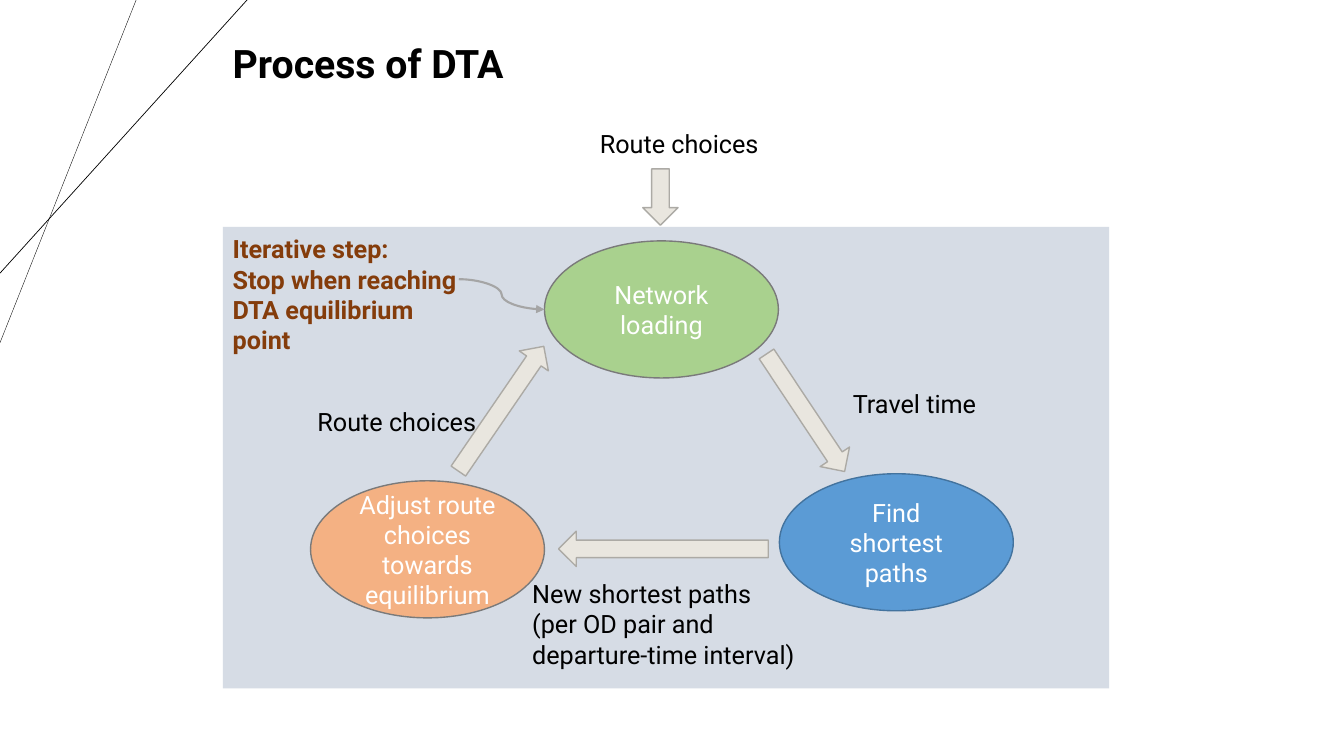
from dataclasses import dataclass

from lxml.etree import SubElement
from pptx import Presentation
from pptx.dml.color import RGBColor
from pptx.enum.shapes import MSO_CONNECTOR as Connector, MSO_SHAPE as Preset
from pptx.enum.text import MSO_ANCHOR as Anchor, PP_ALIGN as Align
from pptx.oxml.ns import qn
from pptx.shapes.autoshape import Shape
from pptx.shapes.connector import Connector as ConnectorShape
from pptx.slide import Slide
from pptx.text.text import TextFrame
from pptx.util import Inches, Pt

FONT = "Roboto"
COLORS = {
    "black": "000000",
    "white": "FFFFFF",
    "panel": "D6DCE5",
    "green": "A9D18E",
    "blue": "5B9BD5",
    "orange": "F4B183",
    "gray_edge": "7A7A7A",
    "blue_edge": "43739E",
    "arrow": "E9E6DF",
    "arrow_edge": "ACAAA5",
    "brown": "843C0B",
    "pointer": "A5A5A5",
}
STEP_WIDTH, STEP_HEIGHT = 2.32, 1.36
ARROW_HEIGHT = 0.35


@dataclass(frozen=True)
class Step:
    text: str
    left: float
    top: float
    fill: str
    edge: str


@dataclass(frozen=True)
class BlockArrow:
    left: float
    top: float
    width: float
    rotation: float


@dataclass(frozen=True)
class Label:
    text: str
    left: float
    top: float
    width: float
    height: float = 0.4
    size: int = 18
    color: str = "black"
    bold: bool = False


@dataclass(frozen=True)
class Line:
    kind: Connector
    start: tuple[float, float]
    end: tuple[float, float]
    color: str
    weight: float


STEPS = [
    Step("Network loading", 5.4, 2.39, "green", "gray_edge"),
    Step("Find shortest paths", 7.73, 4.7, "blue", "blue_edge"),
    Step("Adjust route choices towards equilibrium", 3.08, 4.77, "orange", "gray_edge"),
]
BLOCK_ARROWS = [
    BlockArrow(6.27, 1.78, 0.56, 90),
    BlockArrow(7.29, 3.92, 1.4, 56.4),
    BlockArrow(5.54, 5.27, 2.08, 180),
    BlockArrow(4.22, 3.88, 1.5, 304.4),
]
LABELS = [
    Label("Process of DTA", 2.21, 0.34, 10.49, 0.57, size=28, bold=True),
    Label("Route choices", 5.85, 1.22, 1.98),
    Label("Travel time", 8.36, 3.8, 1.78),
    Label("New shortest paths (per OD pair and departure-time interval)",
          5.18, 5.69, 2.86, 1.01),
    Label("Route choices", 3.05, 3.98, 1.94),
    Label("Iterative step:\nStop when reaching DTA equilibrium point",
          2.21, 2.27, 2.58, 1.01, color="brown", bold=True),
]
BACKDROP_LINES = [
    Line(Connector.STRAIGHT, (1.35, 0), (0, 3.4), "black", 0.25),
    Line(Connector.STRAIGHT, (2.45, 0), (0, 2.71), "black", 0.5),
]
STOP_POINTER = Line(Connector.CURVE, (4.55, 2.77), (5.4, 3.07), "pointer", 1.5)


def color_of(name: str) -> RGBColor:
    return RGBColor.from_string(COLORS[name])


def write(frame: TextFrame, text: str, size: int, color: str,
          bold: bool = False, align: Align = Align.LEFT) -> None:
    frame.word_wrap = True
    frame.text = text
    for paragraph in frame.paragraphs:
        paragraph.alignment = align
        paragraph.font.name = FONT
        paragraph.font.size = Pt(size)
        paragraph.font.bold = bold
        paragraph.font.color.rgb = color_of(color)


def add_filled(slide: Slide, preset: Preset, left: float, top: float, width: float,
               height: float, fill: str, edge: str | None = None) -> Shape:
    """Add a preset shape without shadow; no edge colour means no outline."""
    shape = slide.shapes.add_shape(
        preset, Inches(left), Inches(top), Inches(width), Inches(height))
    shape.shadow.inherit = False
    shape.fill.solid()
    shape.fill.fore_color.rgb = color_of(fill)
    if edge:
        shape.line.color.rgb = color_of(edge)
        shape.line.width = Pt(1)
    else:
        shape.line.fill.background()
    return shape


def add_step(slide: Slide, step: Step) -> None:
    ellipse = add_filled(slide, Preset.OVAL, step.left, step.top,
                         STEP_WIDTH, STEP_HEIGHT, step.fill, step.edge)
    ellipse.text_frame.vertical_anchor = Anchor.MIDDLE
    write(ellipse.text_frame, step.text, 18, "white", align=Align.CENTER)


def add_block_arrow(slide: Slide, arrow: BlockArrow) -> None:
    shape = add_filled(slide, Preset.RIGHT_ARROW, arrow.left, arrow.top,
                       arrow.width, ARROW_HEIGHT, "arrow", "arrow_edge")
    shape.rotation = arrow.rotation


def add_label(slide: Slide, label: Label) -> None:
    box = slide.shapes.add_textbox(Inches(label.left), Inches(label.top),
                                   Inches(label.width), Inches(label.height))
    write(box.text_frame, label.text, label.size, label.color, label.bold)


def add_line(slide: Slide, line: Line) -> ConnectorShape:
    connector = slide.shapes.add_connector(
        line.kind, *(Inches(value) for value in (*line.start, *line.end)))
    connector.line.color.rgb = color_of(line.color)
    connector.line.width = Pt(line.weight)
    SubElement(connector.element.spPr, qn("a:effectLst"))
    return connector


def main() -> None:
    presentation = Presentation()
    presentation.slide_width = Inches(13.33)
    presentation.slide_height = Inches(7.5)
    slide = presentation.slides.add_slide(presentation.slide_layouts[6])

    for line in BACKDROP_LINES:
        add_line(slide, line)
    add_filled(slide, Preset.RECTANGLE, 2.21, 2.25, 8.79, 4.58, "panel")
    for step in STEPS:
        add_step(slide, step)
    for arrow in BLOCK_ARROWS:
        add_block_arrow(slide, arrow)
    for label in LABELS:
        add_label(slide, label)
    pointer = add_line(slide, STOP_POINTER)
    SubElement(pointer.line._get_or_add_ln(), qn("a:tailEnd"), type="triangle")

    presentation.save("out.pptx")


if __name__ == "__main__":
    main()
